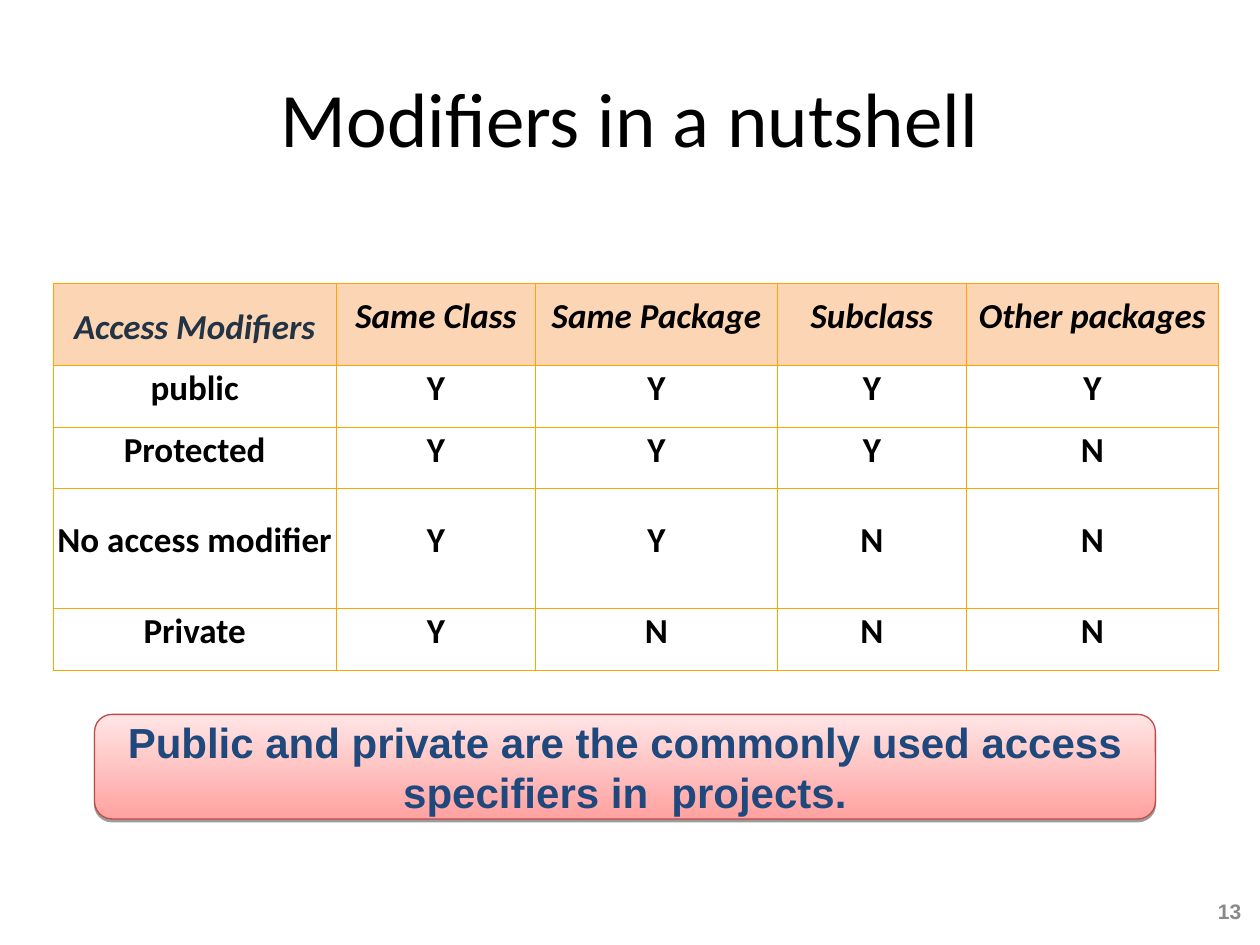
from lxml.etree import SubElement
from pptx import Presentation
from pptx.dml.color import RGBColor
from pptx.enum.shapes import MSO_SHAPE
from pptx.enum.text import MSO_ANCHOR, PP_ALIGN
from pptx.oxml import parse_xml
from pptx.oxml.ns import nsdecls, qn
from pptx.util import Inches, Pt

HEAD = ["Access Modifiers", "Same Class", "Same Package", "Subclass", "Other packages"]
RIGHTS = {
    "public": "YYYY",
    "Protected": "YYYN",
    "No access modifier": "YYNN",
    "Private": "YNNN",
}
WIDTHS = [2.25, 1.58, 1.92, 1.5, 2]
HEIGHTS = [0.65, 0.49, 0.49, 0.95, 0.49]


def color(code):
    return RGBColor.from_string(code)


def box(left, top, width, height):
    return [Inches(n) for n in (left, top, width, height)]


def write(frame, text, size, face="Calibri", ink="000000", bold=False, align=PP_ALIGN.CENTER):
    frame.word_wrap = True
    frame.vertical_anchor = MSO_ANCHOR.MIDDLE
    frame.text = text
    para = frame.paragraphs[0]
    para.alignment = align
    font = para.font
    font.name, font.size, font.bold = face, Pt(size), bold
    font.color.rgb = color(ink)
    return para


def add_title(slide, text):
    title = slide.shapes.title
    title.left, title.top, title.width, title.height = box(0.5, 0.3, 9, 1.25)
    write(title.text_frame, text, 44)


def add_border(cell, code, width):
    props = cell._tc.get_or_add_tcPr()
    for side in ("lnL", "lnR", "lnT", "lnB"):
        line = SubElement(props, qn(f"a:{side}"), w=str(Pt(width)))
        fill = SubElement(line, qn("a:solidFill"))
        SubElement(fill, qn("a:srgbClr"), val=code)


def fill_cell(cell, text, head, first):
    cell.margin_left = cell.margin_right = Inches(0.01)
    cell.margin_top = cell.margin_bottom = Inches(0.05)
    corner = head and first
    para = write(cell.text_frame, text, 20, ink="223344" if corner else "000000", bold=True)
    cell.vertical_anchor = MSO_ANCHOR.MIDDLE
    para.font.italic = head
    para.line_spacing = 1.15 if corner else Pt(15.7)
    if corner:
        para.space_after = Pt(10)
    add_border(cell, "FFA500", 0.45)
    if head:
        cell.fill.solid()
        cell.fill.fore_color.rgb = color("FCD5B5")
    else:
        cell.fill.background()


def add_grid(slide):
    rows = [HEAD] + [[name, *marks] for name, marks in RIGHTS.items()]
    area = box(0.42, 2.25, sum(WIDTHS), sum(HEIGHTS))
    table = slide.shapes.add_table(len(rows), len(HEAD), *area).table
    table.first_row = table.horz_banding = False
    for col, width in zip(table.columns, WIDTHS):
        col.width = Inches(width)
    for row, height in zip(table.rows, HEIGHTS):
        row.height = Inches(height)
    for r, row in enumerate(rows):
        for c, text in enumerate(row):
            fill_cell(table.cell(r, c), text, r == 0, c == 0)


def add_shadow(shape):
    shape._element.spPr.append(parse_xml(
        f'<a:effectLst {nsdecls("a")}>'
        f'<a:outerShdw blurRad="0" dist="{Pt(1.6)}" dir="5400000" rotWithShape="0">'
        '<a:srgbClr val="000000"><a:alpha val="38000"/></a:srgbClr>'
        '</a:outerShdw></a:effectLst>'))


def add_note(slide, text):
    note = slide.shapes.add_shape(MSO_SHAPE.ROUNDED_RECTANGLE, *box(0.75, 5.67, 8.42, 0.83))
    note.fill.gradient()
    note.fill.gradient_angle = 90
    for stop, code in zip(note.fill.gradient_stops, ("FFA2A1", "FFE5E5")):
        stop.color.rgb = color(code)
    note.line.color.rgb = color("BE4B48")
    note.line.width = Pt(0.75)
    add_shadow(note)
    write(note.text_frame, text, 24, "Arial", "1F497D", True)


def add_number(slide, text):
    label = slide.shapes.add_textbox(*box(9.46, 7.06, 0.49, 0.35))
    write(label.text_frame, text, 12, "Arial", "898989", True, PP_ALIGN.RIGHT)


def main():
    deck = Presentation()
    deck.slide_width, deck.slide_height = Inches(10), Inches(7.5)
    slide = deck.slides.add_slide(deck.slide_layouts[5])
    add_title(slide, "Modifiers in a nutshell")
    add_number(slide, "13")
    add_grid(slide)
    add_note(slide, "Public and private are the commonly used access specifiers in  projects.")
    deck.save("out.pptx")


if __name__ == "__main__":
    main()
